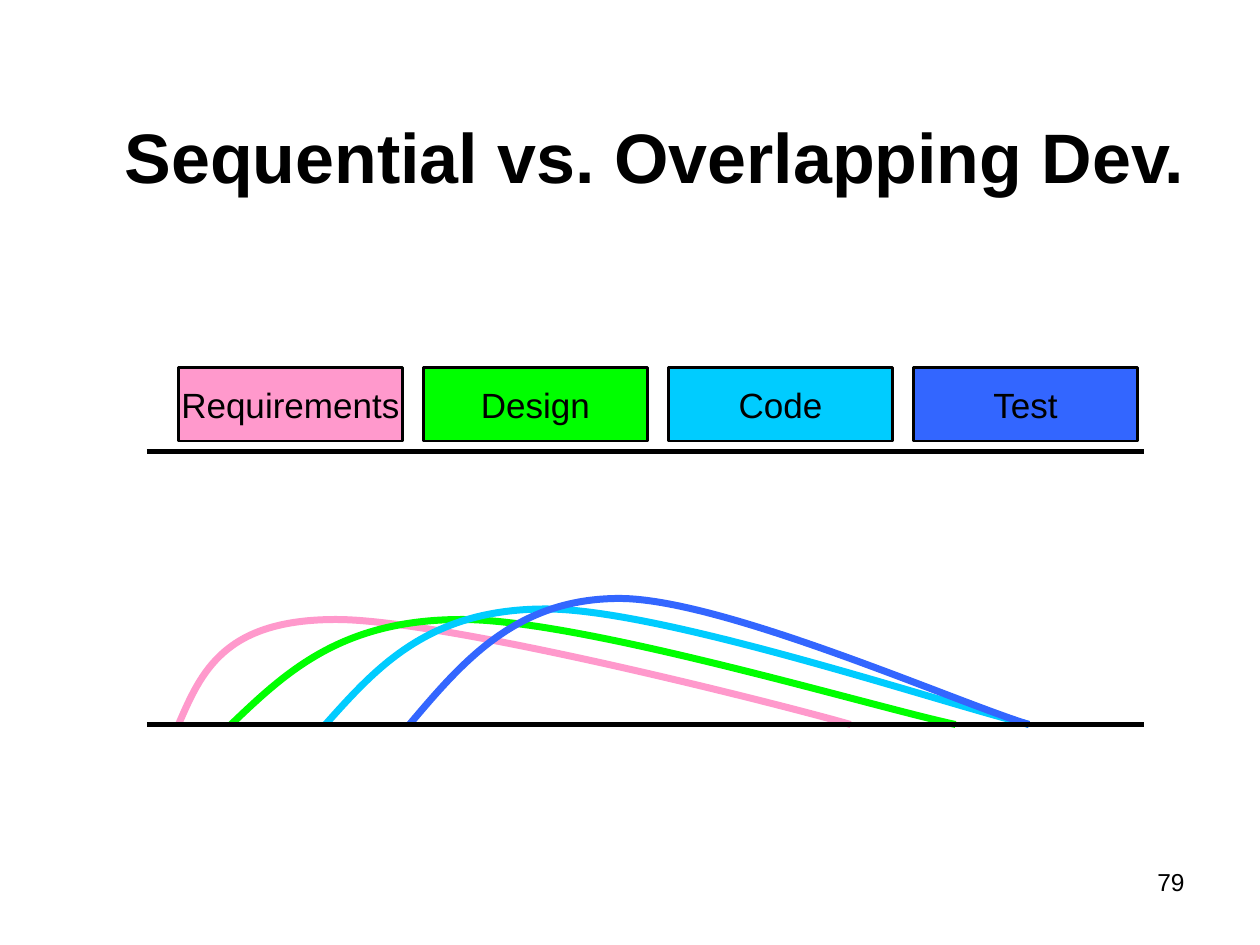
from lxml.etree import SubElement
from pptx import Presentation
from pptx.dml.color import RGBColor
from pptx.enum.shapes import MSO_CONNECTOR, MSO_SHAPE
from pptx.enum.text import MSO_ANCHOR, MSO_AUTO_SIZE, PP_ALIGN
from pptx.oxml.ns import qn
from pptx.util import Pt

COLORS = {
    "black": "000000",
    "Requirements": "FF99CC",
    "Design": "00FF00",
    "Code": "00CCFF",
    "Test": "3366FF",
}


def write_text(shape, text, size, alignment, frame_format, bold=False):
    frame = shape.text_frame
    for name, value in frame_format.items():
        setattr(frame, name, value)
    paragraph = frame.paragraphs[0]
    paragraph.alignment = alignment
    run = paragraph.add_run()
    run.text = text
    font_format = {"name": "Arial", "size": Pt(size), "bold": bold}
    for name, value in font_format.items():
        setattr(run.font, name, value)
    run.font.color.rgb = RGBColor.from_string(COLORS["black"])
    return paragraph


def set_line(shape, color, width):
    shape.line.color.rgb = RGBColor.from_string(COLORS[color])
    shape.line.width = Pt(width)


presentation = Presentation()
presentation.slide_width, presentation.slide_height = Pt(720), Pt(540)
slide = presentation.slides.add_slide(presentation.slide_layouts[5])
shapes = slide.shapes

# Title
title = shapes.title
place = {"left": 54, "top": 61, "width": 630, "height": 55.5}
for name, value in place.items():
    setattr(title, name, Pt(value))
title_format = {"word_wrap": True, "auto_size": MSO_AUTO_SIZE.NONE,
                "vertical_anchor": MSO_ANCHOR.MIDDLE}
write_text(title, "Sequential vs. Overlapping Dev.", 40, PP_ALIGN.RIGHT,
           title_format, bold=True)

# Slide number
number = shapes.add_textbox(Pt(516), Pt(492), Pt(168), Pt(37.5))
write_text(number, "79", 14, PP_ALIGN.RIGHT, {"word_wrap": True})

# Overlapping effort curves: start, handle left of the peak, peak,
# last handle and end, all resting on the lower time axis
axis_y = 414
curves = [
    ("Requirements", 102, 128, (192, 354), (452, 404), 486),
    ("Design", 132, 195, (264, 354), (499, 404), 546),
    ("Code", 186, 245, (312, 348), (542, 403), 588),
    ("Test", 234, 295, (354, 342), (548, 402), 588),
]
for phase, start, handle, (peak_x, peak_y), last_handle, end in curves:
    points = [
        ((start + handle) / 2, (axis_y + peak_y) / 2),
        (handle, peak_y),
        (peak_x, peak_y),
        (2 * peak_x - handle, peak_y),
        last_handle,
        (end, axis_y),
    ]
    builder = shapes.build_freeform(Pt(start), Pt(axis_y))
    builder.add_line_segments([(Pt(x), Pt(y)) for x, y in points], close=False)
    curve = builder.convert_to_shape()
    curve.shadow.inherit = False
    curve.fill.background()
    set_line(curve, phase, 4)
    # Join every three points into one Bezier segment
    outline = curve._element.find(".//" + qn("a:path"))
    segments = outline.findall(qn("a:lnTo"))
    for first in range(0, len(segments), 3):
        bezier = SubElement(outline, qn("a:cubicBezTo"))
        for segment in segments[first:first + 3]:
            bezier.append(segment[0])
            outline.remove(segment)

# Time axes
for y in (axis_y, 258):
    axis = shapes.add_connector(MSO_CONNECTOR.STRAIGHT, Pt(84), Pt(y), Pt(654), Pt(y))
    set_line(axis, "black", 2.5)
    SubElement(axis._element.spPr, qn("a:effectLst"))

# Sequential phases
box_format = {"word_wrap": False, "vertical_anchor": MSO_ANCHOR.MIDDLE}
for column, phase in enumerate(["Requirements", "Design", "Code", "Test"]):
    box = shapes.add_shape(MSO_SHAPE.RECTANGLE, Pt(102 + 140 * column), Pt(210),
                           Pt(128), Pt(42))
    box.shadow.inherit = False
    box.fill.solid()
    box.fill.fore_color.rgb = RGBColor.from_string(COLORS[phase])
    set_line(box, "black", 1.5)
    paragraph = write_text(box, phase, 20, PP_ALIGN.CENTER, box_format)
    paragraph.space_before = Pt(12.5)

presentation.save("out.pptx")
